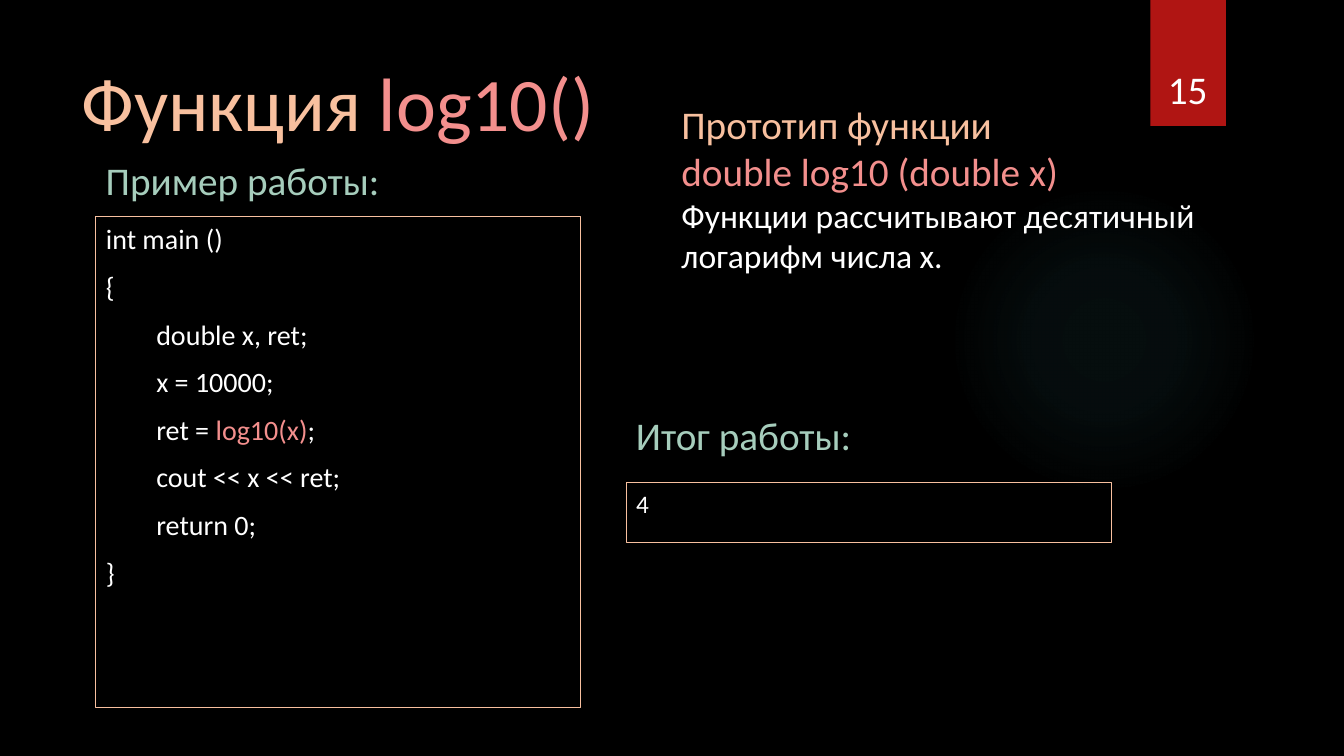
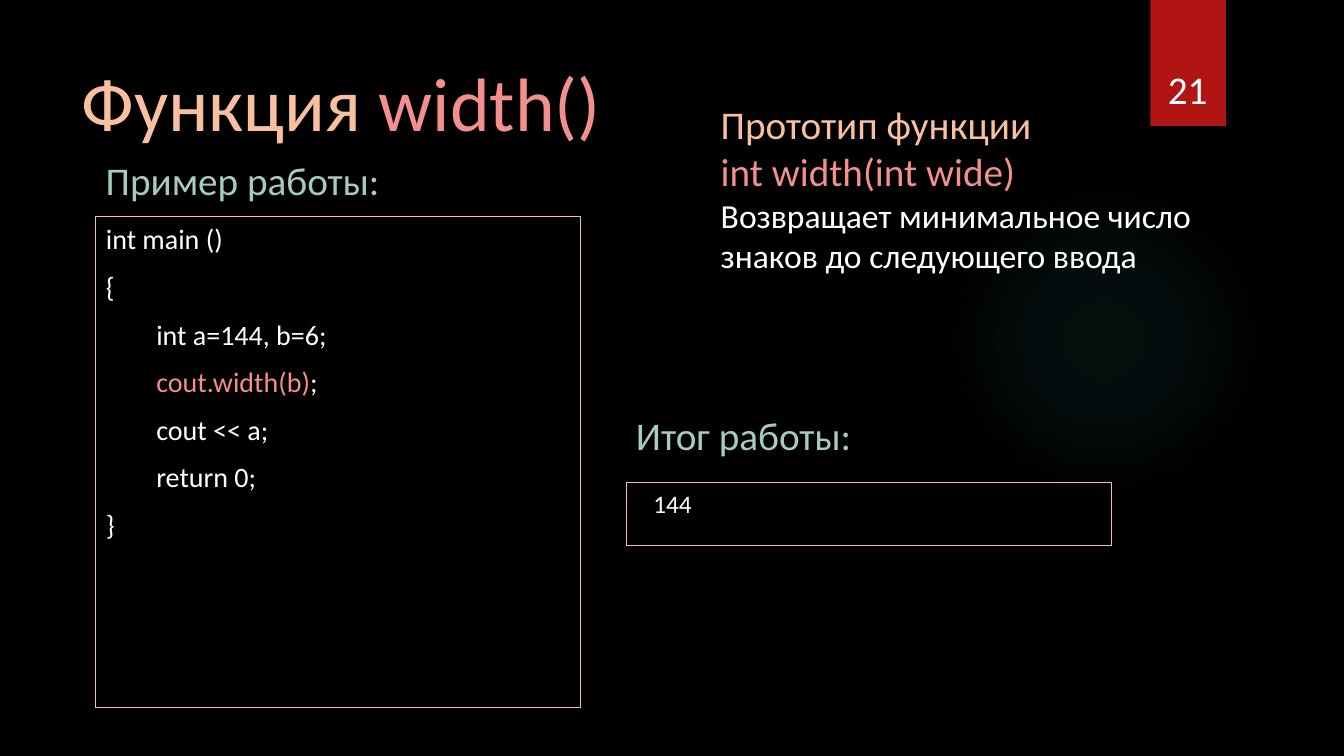
from dataclasses import dataclass

from lxml.etree import SubElement
from pptx import Presentation
from pptx.dml.color import RGBColor
from pptx.enum.shapes import MSO_SHAPE
from pptx.enum.text import MSO_ANCHOR, MSO_AUTO_SIZE, PP_ALIGN
from pptx.oxml.ns import qn
from pptx.util import Inches, Pt


@dataclass(frozen=True)
class Theme:
    font: str = "Calibri"
    background: str = "000000"
    band: str = "B01513"
    glow: str = "50B9C1"
    text: str = "FFFFFF"
    peach: str = "F8C09F"
    accent: str = "F38F8D"
    label: str = "A6CDBC"
    title_size: int = 54
    heading_size: int = 28
    note_size: int = 24
    code_size: int = 20
    output_size: int = 18


THEME = Theme()
WIDTH, HEIGHT = 13.33, 7.5
LEFT, RIGHT = 0.95, 6.21           # the two columns
PANEL, LABEL = 4.81, 4.16          # widths of a framed panel and of its label
LABEL_HEIGHT = 0.57
CODE_TOP, OUTPUT_TOP = 2.15, 4.79
GLOW_STOPS = ((0, 7), (36, 6), (69, 0))  # position and opacity, in percent

PAGES = [
    {
        "number": "15",
        "title": "Функция |log10()",
        "code": [(0, "int main ()"), (0, "{"), (1, "double x, ret;"),
                 (1, "x = 10000;"), (1, "ret = |log10(x)|;"),
                 (1, "cout << x << ret;"), (1, "return 0;"), (0, "}")],
        "output": [(0, "4")],
        "output_height": 0.59,
        "prototype": [(0, "Прототип функции"), (0, "|double log10 (double x)")],
        "note": [(0, "Функции рассчитывают десятичный"), (0, "логарифм числа x.")],
        "note_left": 6.66,
    },
    {
        "number": "21",
        "title": "Функция |width()",
        "code": [(0, "int main ()"), (0, "{"), (1, "int a=144, b=6;"),
                 (1, "|cout.width(b)|;"), (1, "cout << a;"),
                 (1, "return 0;"), (0, "}")],
        "output": [(0.34, "144")],
        "output_height": 0.62,
        "prototype": [(0, "Прототип функции"), (0, "|int width(int wide)")],
        "note": [(0, "Возвращает минимальное число"), (0, "знаков до следующего ввода")],
        "note_left": 7.05,
    },
]


def place(box, *lengths):
    for name, length in zip(("left", "top", "width", "height"), lengths):
        setattr(box, name, Inches(length))


def write(box, lines, size, color, before=0, align=PP_ALIGN.LEFT, anchor=MSO_ANCHOR.TOP):
    """Fill box with (indent level, text) lines; text between bars is accented."""
    frame = box.text_frame
    frame_format = {"word_wrap": True, "auto_size": MSO_AUTO_SIZE.NONE,
                    "vertical_anchor": anchor}
    for name, value in frame_format.items():
        setattr(frame, name, value)
    for index, (level, text) in enumerate(lines):
        para = frame.add_paragraph() if index else frame.paragraphs[0]
        para_format = {"alignment": align, "space_before": Pt(before), "line_spacing": 1.0}
        for name, value in para_format.items():
            setattr(para, name, value)
        properties = para._p.get_or_add_pPr()
        properties.set("marL", str(Inches(level * 0.5)))
        properties.set("indent", "0")
        SubElement(properties, qn("a:buNone"))
        for part, words in enumerate(text.split("|")):
            if words:
                span = para.add_run()
                span.text = words
                span.font.name = THEME.font
                span.font.size = Pt(size)
                span.font.color.rgb = RGBColor.from_string(THEME.accent if part % 2 else color)


deck = Presentation()
deck.slide_width, deck.slide_height = Inches(WIDTH), Inches(HEIGHT)
layout = deck.slide_layouts.get_by_name("Two Content")
fill = deck.slide_master.background.fill
fill.solid()
fill.fore_color.rgb = RGBColor.from_string(THEME.background)
pages = [deck.slides.add_slide(layout) for _ in PAGES]

# Shapes are drawn on a page, then moved to the layout so that all pages share them.
glow, band = (pages[0].shapes.add_shape(kind, 0, 0, 0, 0)
              for kind in (MSO_SHAPE.OVAL, MSO_SHAPE.RECTANGLE))
place(glow, 9.41, 1.83, 3.08, 3.08)
place(band, 11.41, 0, 0.75, 1.25)
band.fill.solid()
band.fill.fore_color.rgb = RGBColor.from_string(THEME.band)
glow.fill.background()
no_fill = glow.element.spPr.find(qn("a:noFill"))
gradient = SubElement(glow.element.spPr, qn("a:gradFill"))
no_fill.getparent().replace(no_fill, gradient)
stops = SubElement(gradient, qn("a:gsLst"))
for position, opacity in GLOW_STOPS:
    stop = SubElement(stops, qn("a:gs"), pos=str(position * 1000))
    stop_color = SubElement(stop, qn("a:srgbClr"), val=THEME.glow)
    SubElement(stop_color, qn("a:alpha"), val=str(opacity * 1000))
circle = SubElement(gradient, qn("a:path"), path="circle")
SubElement(circle, qn("a:fillToRect"), l="50000", t="50000", r="50000", b="50000")
first_placeholder = layout.placeholders[0].element
for shape in (glow, band):
    shape.shadow.inherit = False
    shape.line.fill.background()
    first_placeholder.addprevious(shape.element)

for page, content in zip(pages, PAGES):
    title, code, output = page.placeholders
    place(title, 0.71, 0.5, 6.49, 1.01)
    write(title, [(0, content["title"])], THEME.title_size, THEME.peach)

    place(code, LEFT, CODE_TOP, PANEL, 4.87)
    place(output, RIGHT, OUTPUT_TOP, PANEL, content["output_height"])
    for panel, key, size in ((code, "code", THEME.code_size),
                             (output, "output", THEME.output_size)):
        panel.line.color.rgb = RGBColor.from_string(THEME.peach)
        panel.line.width = Pt(0.75)
        write(panel, content[key], size, THEME.text, before=10)

    note_left = content["note_left"]
    texts = [
        ((RIGHT, 4.03, LABEL, LABEL_HEIGHT), [(0, "Итог работы:")],
         THEME.heading_size, THEME.label),
        ((LEFT, 1.5, LABEL, LABEL_HEIGHT), [(0, "Пример работы:")],
         THEME.heading_size, THEME.label),
        ((note_left, 1.88, 5.42, 0.91), content["note"], THEME.note_size, THEME.text),
        ((note_left, 0.95, 4.2, 1.04), content["prototype"],
         THEME.heading_size, THEME.peach),
    ]
    for area, lines, size, color in texts:
        write(page.shapes.add_textbox(*map(Inches, area)), lines, size, color)
    number = page.shapes.add_textbox(*map(Inches, (11.32, 0.32, 0.92, 0.84)))
    write(number, [(0, content["number"])], THEME.heading_size, THEME.text,
          align=PP_ALIGN.CENTER, anchor=MSO_ANCHOR.BOTTOM)

deck.save("out.pptx")
